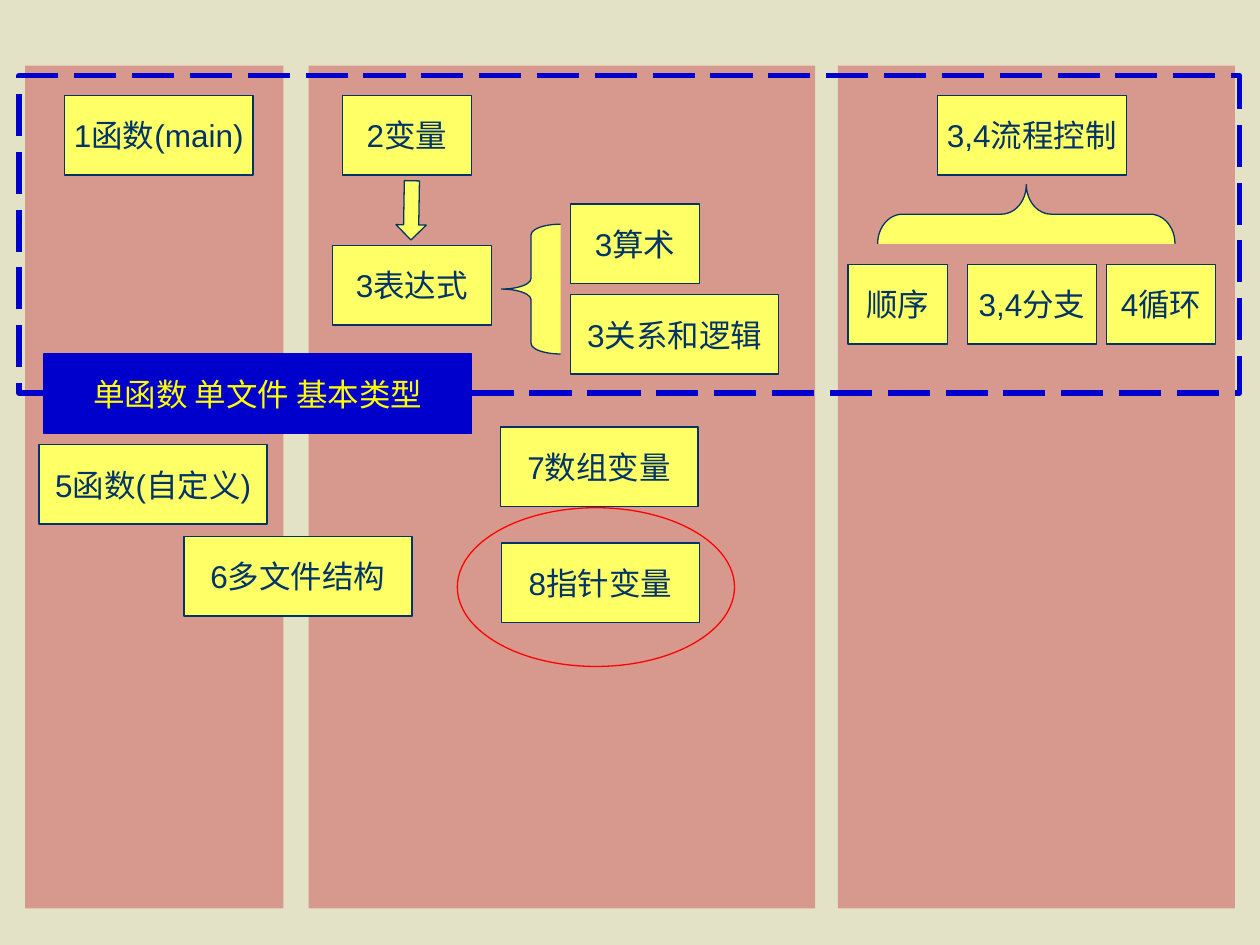
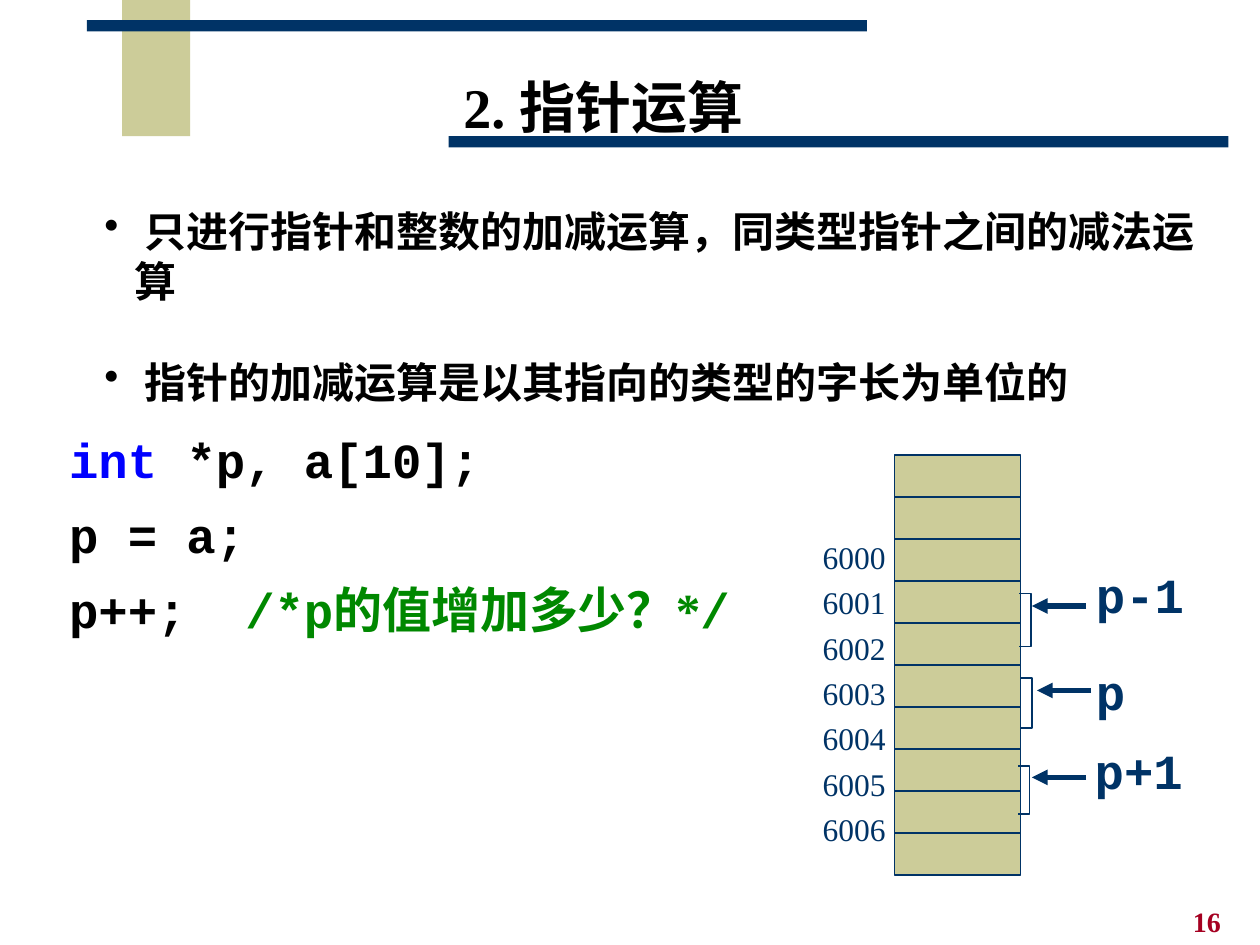
"""Build two course slides: a topic map of C and a page on pointer arithmetic."""
from dataclasses import dataclass

from lxml.etree import SubElement
from pptx import Presentation
from pptx.dml.color import RGBColor
from pptx.enum.dml import MSO_LINE
from pptx.enum.shapes import MSO_CONNECTOR, MSO_SHAPE
from pptx.enum.text import MSO_ANCHOR, PP_ALIGN
from pptx.oxml.ns import qn
from pptx.util import Inches, Pt


@dataclass(frozen=True)
class Theme:
    """Colours, fonts and type sizes of the deck."""
    navy: str = "003366"
    blue: str = "0000CC"
    yellow: str = "FFFF66"
    bright: str = "FFFF00"
    rose: str = "D7998D"
    sand: str = "E3E2C7"
    khaki: str = "CCCC99"
    red: str = "FF0000"
    wine: str = "A50021"
    keyword: str = "0000FF"
    green: str = "008800"
    black: str = "000000"
    white: str = "FFFFFF"
    sans: str = "Arial"
    serif: str = "Times New Roman"
    mono: str = "Courier New"
    asian: str = "Noto Sans CJK SC"
    title: int = 32
    code: int = 28
    body: int = 24
    label: int = 18
    page: int = 16


THEME = Theme()


def paint(slide, color):
    """Fill the slide background."""
    fill = slide.background.fill
    fill.solid()
    fill.fore_color.rgb = RGBColor.from_string(color)


def style(run, size, color, face, bold=False):
    """Format one run, for Latin and East Asian text alike."""
    font = run.font
    font.size, font.bold, font.name = Pt(size), bold, face
    font.color.rgb = RGBColor.from_string(color)
    asian = SubElement(run._r.get_or_add_rPr(), qn("a:ea"))
    asian.set("typeface", THEME.asian)


def dress(shape, fill=None, line=None, width=0.75):
    """Set the fill and line of a shape and drop its shadow."""
    shape.shadow.inherit = False
    if fill:
        shape.fill.solid()
        shape.fill.fore_color.rgb = RGBColor.from_string(fill)
    else:
        shape.fill.background()
    if line:
        shape.line.color.rgb = RGBColor.from_string(line)
        shape.line.width = Pt(width)
    else:
        shape.line.fill.background()


def draw(slide, kind, spot, fill=None, line=None, width=0.75):
    """Add a preset shape at left, top, width, height."""
    shape = slide.shapes.add_shape(kind, *map(Inches, spot))
    dress(shape, fill, line, width)
    return shape


def topic(slide, text, spot, fill=THEME.yellow, line=THEME.navy, color=THEME.navy):
    """Add a box with one centred label."""
    frame = draw(slide, MSO_SHAPE.RECTANGLE, spot, fill, line).text_frame
    frame.word_wrap = False
    frame.vertical_anchor = MSO_ANCHOR.MIDDLE
    frame.text = text
    para = frame.paragraphs[0]
    para.alignment = PP_ALIGN.CENTER
    style(para.runs[0], THEME.label, color, THEME.sans)


def brace(slide, spot, curve, turn=0):
    """Add a left brace, turned if asked."""
    shape = draw(slide, MSO_SHAPE.LEFT_BRACE, spot, THEME.yellow, THEME.navy)
    shape.adjustments[0] = curve
    shape.rotation = turn


def write(slide, spot, lines, size, color, face, bold=False, gap=0):
    """Add a text box with one paragraph for each line."""
    frame = slide.shapes.add_textbox(*map(Inches, spot)).text_frame
    frame.word_wrap = True
    frame.text = "\n".join(lines)
    for count, para in enumerate(frame.paragraphs):
        if count:
            para.space_before = Pt(gap)
        for run in para.runs:
            style(run, size, color, face, bold)
    return frame


def indent(para, left, first):
    """Set the left margin and first-line indent of a paragraph."""
    props = para._p.get_or_add_pPr()
    props.set("marL", str(Inches(left)))
    props.set("indent", str(Inches(first)))
    return props


def bullets(slide, spot, lines):
    """Add a bulleted list."""
    frame = write(slide, spot, lines, THEME.body, THEME.black, THEME.asian, True, 29)
    for para in frame.paragraphs:
        props = indent(para, 0.72, -0.24)
        tint = SubElement(SubElement(props, qn("a:buClr")), qn("a:srgbClr"))
        tint.set("val", THEME.black)
        SubElement(props, qn("a:buChar")).set("char", "•")


def listing(slide, spot, lines):
    """Add code whose lines are lists of text, colour and face."""
    frame = slide.shapes.add_textbox(*map(Inches, spot)).text_frame
    frame.word_wrap = True
    for count, parts in enumerate(lines):
        para = frame.add_paragraph() if count else frame.paragraphs[0]
        indent(para, 0.38, -0.38)
        if count:
            para.space_before = Pt(9.3)
        for text, color, face in parts:
            run = para.add_run()
            run.text = text
            style(run, THEME.code, color, face, True)


def arrow(slide, start, end, y):
    """Add a level arrow."""
    link = slide.shapes.add_connector(
        MSO_CONNECTOR.STRAIGHT, *map(Inches, (start, y, end, y)))
    link.line.color.rgb = RGBColor.from_string(THEME.navy)
    link.line.width = Pt(3)
    SubElement(link.line._get_or_add_ln(), qn("a:tailEnd")).set("type", "triangle")
    SubElement(link._element.spPr, qn("a:effectLst"))


def bracket(slide, left, top, height):
    """Add an open square bracket that faces left."""
    right, low = left + 0.09, top + height
    pen = slide.shapes.build_freeform(Inches(left), Inches(top))
    points = [(right, top), (right, low), (left, low)]
    pen.add_line_segments([(Inches(x), Inches(y)) for x, y in points], close=False)
    dress(pen.convert_to_shape(), line=THEME.navy, width=1)


def pointer(slide, text, left, top, height, tip, shaft, label):
    """Add a bracket with its arrow and pointer name."""
    x, y = label
    write(slide, (x, y, 1.4, 0.57), [text], THEME.code, THEME.navy, THEME.mono, True)
    arrow(slide, tip + 0.43, tip, shaft)
    bracket(slide, left, top, height)


def bands(slide):
    """Add the title bands."""
    for spot, color in (
        ((0.97, 0, 0.54, 1.08), THEME.khaki),
        ((0.69, 0.16, 6.19, 0.09), THEME.navy),
        ((3.56, 1.08, 6.19, 0.09), THEME.navy),
    ):
        draw(slide, MSO_SHAPE.RECTANGLE, spot, color)


def heading(slide, text):
    """Add the slide title."""
    frame = write(slide, (3.05, 0.57, 3.48, 0.63), [text],
                  THEME.title, THEME.black, THEME.serif, True)
    frame.vertical_anchor = MSO_ANCHOR.MIDDLE
    para = frame.paragraphs[0]
    para.alignment = PP_ALIGN.CENTER
    para.line_spacing = 0.85


def course_map(slide):
    """Draw the map of course topics."""
    paint(slide, THEME.sand)
    for left, width in ((6.65, 3.15), (2.45, 4.02), (0.2, 2.05)):
        draw(slide, MSO_SHAPE.RECTANGLE, (left, 0.52, width, 6.69), THEME.rose)
    scope = draw(slide, MSO_SHAPE.RECTANGLE, (0.15, 0.6, 9.69, 2.52),
                 line=THEME.blue, width=3)
    scope.line.dash_style = MSO_LINE.LONG_DASH
    for text, left, top, width in (
        ("1函数(main)", 0.51, 0.76, 1.5),
        ("2变量", 2.72, 0.76, 1.02),
        ("3表达式", 2.64, 1.95, 1.26),
        ("3算术", 4.53, 1.62, 1.02),
        ("3关系和逻辑", 4.53, 2.34, 1.65),
        ("3,4流程控制", 7.44, 0.76, 1.5),
        ("顺序", 6.73, 2.1, 0.79),
        ("3,4分支", 7.68, 2.1, 1.02),
        ("4循环", 8.78, 2.1, 0.87),
        ("5函数(自定义)", 0.31, 3.53, 1.81),
        ("6多文件结构", 1.46, 4.26, 1.81),
        ("7数组变量", 3.97, 3.39, 1.57),
        ("8指针变量", 3.98, 4.31, 1.57),
    ):
        topic(slide, text, (left, top, width, 0.63))
    topic(slide, "单函数 单文件 基本类型", (0.35, 2.81, 3.39, 0.63),
          THEME.blue, THEME.blue, THEME.bright)
    down = draw(slide, MSO_SHAPE.RIGHT_ARROW, (3.03, 1.55, 0.47, 0.24),
                THEME.yellow, THEME.navy)
    down.rotation = 91
    brace(slide, (3.98, 1.78, 0.47, 1.03), 0.18)
    brace(slide, (7.91, 0.52, 0.47, 2.36), 0.42, 90)
    draw(slide, MSO_SHAPE.OVAL, (3.63, 4.03, 2.2, 1.26), line=THEME.red)


def pointer_math(slide):
    """Explain pointer arithmetic beside a strip of memory."""
    paint(slide, THEME.white)
    bands(slide)
    write(slide, (9.37, 7.13, 0.63, 0.37), ["16"],
          THEME.page, THEME.wine, THEME.serif, True)
    heading(slide, "2. 指针运算")
    bullets(slide, (0.25, 1.58, 9.43, 1.3), [
        " 只进行指针和整数的加减运算，同类型指针之间的减法运算",
        " 指针的加减运算是以其指向的类型的字长为单位的",
    ])
    black, green, mono = THEME.black, THEME.green, THEME.mono
    listing(slide, (0.45, 3.36, 5.58, 2.04), [
        [("int", THEME.keyword, mono), (" *p, a[10];", black, mono)],
        [("p = a;", black, mono)],
        [("p++;  ", black, mono), ("/*p", green, mono),
         ("的值增加多少？*", green, THEME.serif), ("/", green, mono)],
    ])
    write(slide, (6.43, 4.22, 0.75, 2.48), [str(6000 + step) for step in range(7)],
          THEME.label, THEME.navy, THEME.serif, gap=4.3)
    for row in range(10):
        draw(slide, MSO_SHAPE.RECTANGLE, (7.1, 3.61 + row / 3, 1, 1 / 3),
             THEME.khaki, THEME.navy, 1)
    pointer(slide, "p-1", 8.09, 4.71, 0.42, 8.19, 4.81, (8.6, 4.43))
    pointer(slide, "p", 8.1, 5.38, 0.4, 8.23, 5.48, (8.6, 5.2))
    pointer(slide, "p+1", 8.08, 6.08, 0.38, 8.19, 6.17, (8.59, 5.83))


def main():
    """Build and save the deck."""
    deck = Presentation()
    deck.slide_width, deck.slide_height = Inches(10), Inches(7.5)
    for build in (course_map, pointer_math):
        build(deck.slides.add_slide(deck.slide_layouts[6]))
    deck.save("out.pptx")


if __name__ == "__main__":
    main()
